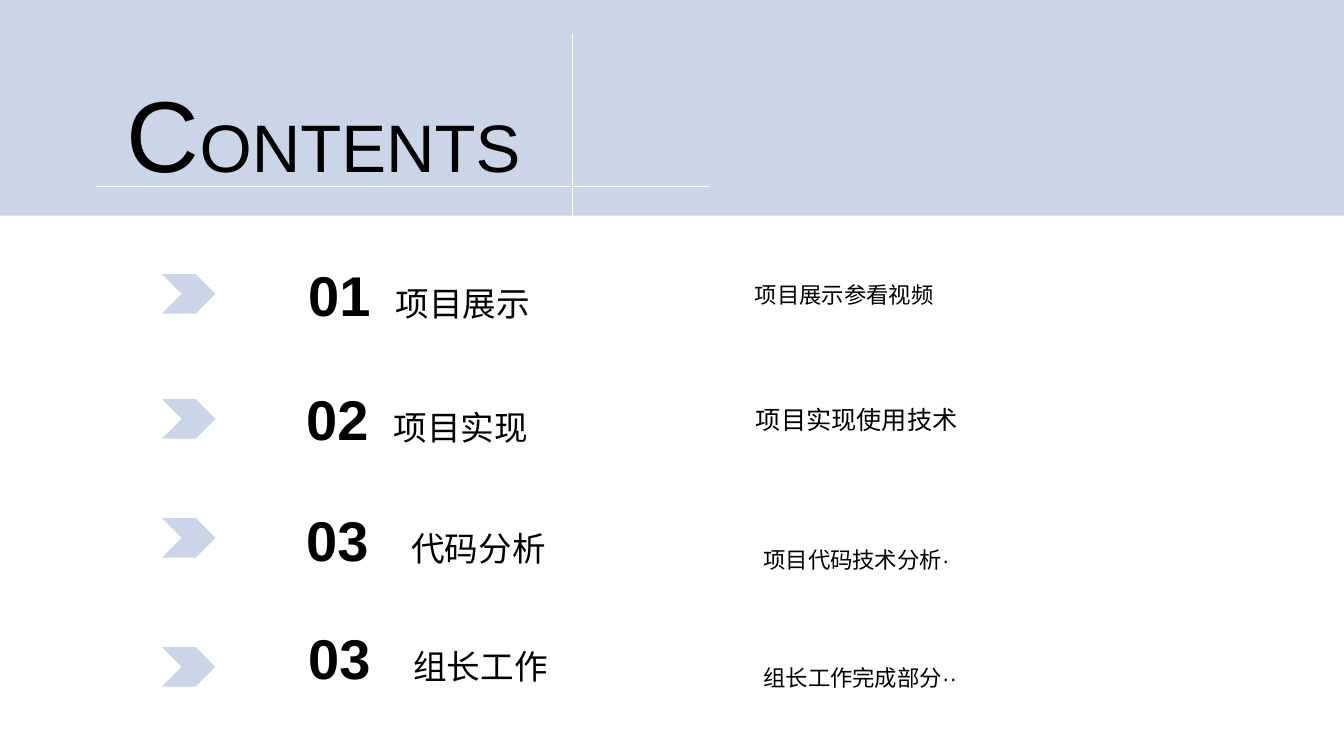
"""Build the contents slide: a header band and four agenda rows."""
from dataclasses import dataclass

import pptx
import pptx.dml.color
import pptx.enum.shapes
import pptx.enum.text
import pptx.oxml
import pptx.oxml.ns
import pptx.util

Pt = pptx.util.Pt
RGBColor = pptx.dml.color.RGBColor
MSO_SHAPE = pptx.enum.shapes.MSO_SHAPE

BAND_BLUE = RGBColor(0xCA, 0xD5, 0xE8)
BLACK = RGBColor(0x00, 0x00, 0x00)
WHITE = RGBColor(0xFF, 0xFF, 0xFF)
FONT_NAME = "Arial"
SLIDE_W, SLIDE_H, BAND_H = 960, 540, 154
BOX_MARGIN = 7.2


@dataclass(frozen=True)
class Run:
    text: str
    size: float
    bold: bool = False


@dataclass(frozen=True)
class Row:
    chevron_top: float
    number: str
    title: str
    title_left: float
    title_top: float
    title_tab: float
    detail: str
    detail_left: float
    detail_top: float
    detail_inset: float
    detail_size: float = 16


@dataclass(frozen=True)
class Rule:
    x1: float
    y1: float
    x2: float
    y2: float


ROWS = (
    Row(195.8, "01", "项目展示", 213.1, 182.2, 62.3,
        "项目展示参看视频", 457.9, 197.3, 81.4),
    Row(285.1, "02", "项目实现", 211.7, 271.4, 62.3,
        "项目实现使用技术", 457.9, 285.1, 82, 18),
    Row(370.1, "03", "代码分析", 211.7, 357.8, 75,
        "项目代码技术分析·", 467.3, 386.6, 78),
    Row(462.2, "03", "组长工作", 213.1, 442.1, 75,
        "组长工作完成部分··", 467.3, 470.9, 78),
)
RULES = (Rule(68.4, 133.2, 506.2, 133.2), Rule(409, 24.5, 409, BAND_H))


def set_attrs(target: object, values: dict) -> None:
    """Set each named attribute on the target."""
    for name, value in values.items():
        setattr(target, name, value)


def add_block(s, kind, left: float, top: float, width: float, height: float) -> None:
    """Add a flat preset shape in the band colour."""
    sp = s.shapes.add_shape(kind, Pt(left), Pt(top), Pt(width), Pt(height))
    sp.shadow.inherit = False
    sp.fill.solid()
    sp.fill.fore_color.rgb = BAND_BLUE
    sp.line.fill.background()


def add_text(s, left: float, top: float, width: float, height: float,
             runs: tuple[Run, ...], inset: float = BOX_MARGIN, tab: float = 0) -> None:
    """Add a one-paragraph text box, with an optional tab stop."""
    sp = s.shapes.add_textbox(Pt(left), Pt(top), Pt(width), Pt(height))
    tf = sp.text_frame
    set_attrs(tf, {"word_wrap": True, "margin_left": Pt(inset),
                   "auto_size": pptx.enum.text.MSO_AUTO_SIZE.SHAPE_TO_FIT_TEXT})
    p = tf.paragraphs[0]
    p.alignment = pptx.enum.text.PP_ALIGN.LEFT
    if tab:
        tabs = pptx.oxml.parse_xml(
            f'<a:tabLst {pptx.oxml.ns.nsdecls("a")}>'
            f'<a:tab pos="{Pt(tab)}" algn="l"/></a:tabLst>')
        p._p.get_or_add_pPr().append(tabs)
    for run in runs:
        r = p.add_run()
        r.text = run.text
        set_attrs(r.font, {"name": FONT_NAME, "size": Pt(run.size), "bold": run.bold})
        r.font.color.rgb = BLACK


def add_rule(s, rule: Rule) -> None:
    """Add a thin white line without a shadow."""
    sp = s.shapes.add_connector(
        pptx.enum.shapes.MSO_CONNECTOR.STRAIGHT,
        Pt(rule.x1), Pt(rule.y1), Pt(rule.x2), Pt(rule.y2))
    sp.line.color.rgb = WHITE
    sp.line.width = Pt(1)
    effects = pptx.oxml.parse_xml(f'<a:effectLst {pptx.oxml.ns.nsdecls("a")}/>')
    sp._element.spPr.append(effects)


def add_row(s, row: Row) -> None:
    """Add a chevron, a numbered title and its detail."""
    add_block(s, MSO_SHAPE.CHEVRON, 115.7, row.chevron_top, 38.2, 28.2)
    add_text(s, row.title_left, row.title_top, 235, 55.4,
             (Run(row.number, 40, True), Run("\t" + row.title, 24)),
             tab=row.title_tab)
    add_text(s, row.detail_left, row.detail_top, 340, row.detail_size + 10.6,
             (Run(row.detail, row.detail_size),), inset=row.detail_inset)


def main() -> None:
    """Build and save the slide."""
    prs = pptx.Presentation()
    set_attrs(prs, {"slide_width": Pt(SLIDE_W), "slide_height": Pt(SLIDE_H)})
    s = prs.slides.add_slide(prs.slide_layouts[6])
    add_block(s, MSO_SHAPE.RECTANGLE, 0, 0, SLIDE_W, BAND_H)
    add_text(s, 83.5, 47.5, 302.4, 94.3, (Run("C", 72), Run("ONTENTS", 48)))
    for rule in RULES:
        add_rule(s, rule)
    for row in ROWS:
        add_row(s, row)
    prs.save("out.pptx")


if __name__ == "__main__":
    main()
